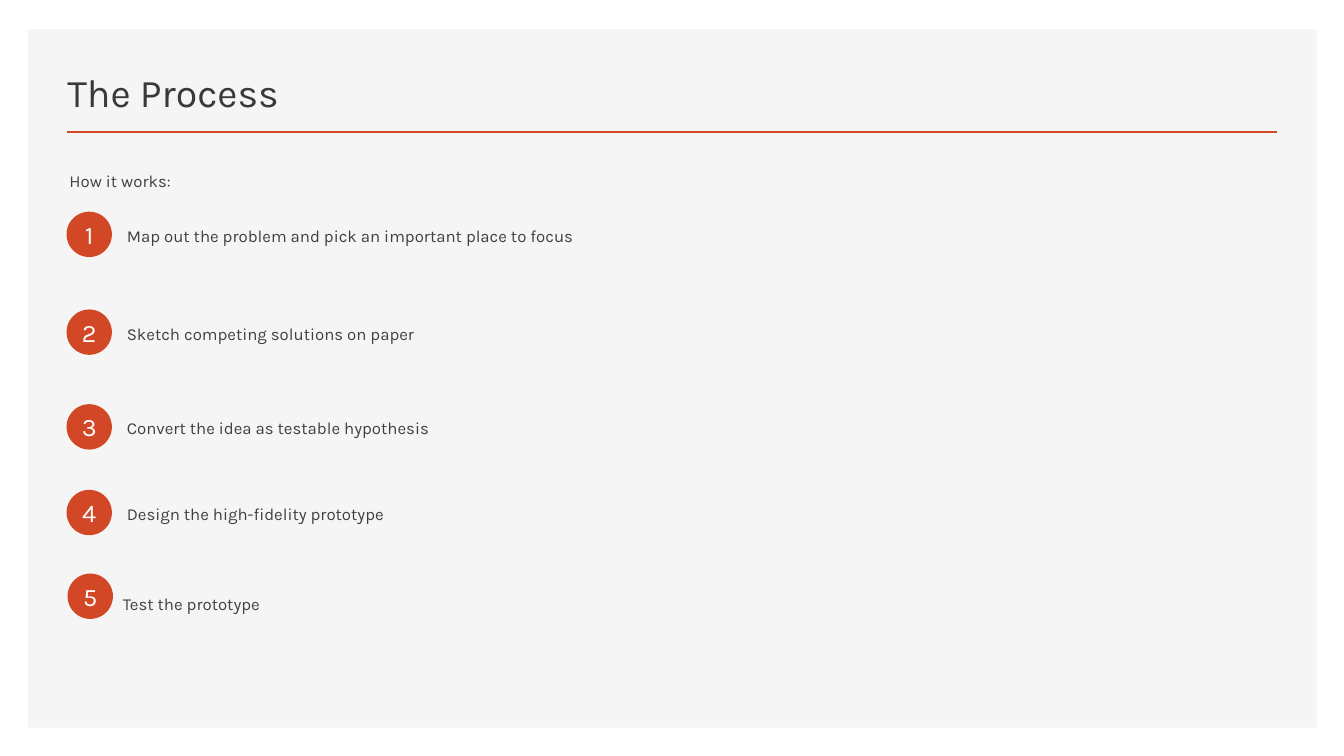
from lxml.etree import SubElement
from pptx import Presentation
from pptx.dml.color import RGBColor
from pptx.enum.shapes import MSO_CONNECTOR, MSO_SHAPE
from pptx.enum.text import MSO_ANCHOR, PP_ALIGN
from pptx.oxml.ns import qn
from pptx.util import Inches, Pt

COLORS = {
    "panel": "F5F5F5",
    "accent": "D24726",
    "title": "3B3838",
    "body": "404040",
    "white": "FFFFFF",
}


class ProcessSlide:
    font = "Karla"

    def __init__(self, prs):
        self.s = prs.slides.add_slide(prs.slide_layouts[6])

    def color(self, name):
        return RGBColor.from_string(COLORS[name])

    def set_text(self, tf, text, size, color):
        p = tf.paragraphs[0]
        p.text = text
        p.font.name = self.font
        p.font.size = Pt(size)
        p.font.color.rgb = self.color(color)
        return p

    def shape(self, kind, x, y, w, h, fill):
        sp = self.s.shapes.add_shape(kind, Inches(x), Inches(y), Inches(w), Inches(h))
        sp.shadow.inherit = False
        sp.fill.solid()
        sp.fill.fore_color.rgb = self.color(fill)
        sp.line.fill.background()
        return sp

    def rule(self, x1, x2, y):
        line = self.s.shapes.add_connector(
            MSO_CONNECTOR.STRAIGHT, Inches(x1), Inches(y), Inches(x2), Inches(y))
        line.line.color.rgb = self.color("accent")
        line.line.width = Pt(2)
        SubElement(line._element.spPr, qn("a:effectLst"))

    def text(self, x, y, w, h, text, size=12, color="body", anchor=MSO_ANCHOR.TOP):
        sp = self.s.shapes.add_textbox(Inches(x), Inches(y), Inches(w), Inches(h))
        tf = sp.text_frame
        tf.word_wrap = True
        tf.vertical_anchor = anchor
        return self.set_text(tf, text, size, color)

    def body(self, x, y, w, h, text):
        self.text(x, y, w, h, text).line_spacing = Pt(18)

    def badge(self, x, y, number):
        sp = self.shape(MSO_SHAPE.OVAL, x, y, 0.45, 0.45, "accent")
        tf = sp.text_frame
        tf.margin_left = tf.margin_right = tf.margin_top = tf.margin_bottom = 0
        tf.vertical_anchor = MSO_ANCHOR.MIDDLE
        p = self.set_text(tf, str(number), 18, "white")
        p.alignment = PP_ALIGN.CENTER


# Badge left and top, text left, top, width and height, wording
STEPS = [
    (0.66, 2.1, 1.16, 2.14, 5.02, 0.65,
     "Map out the problem and pick an important place to focus"),
    (0.66, 3.07, 1.16, 3.11, 4.93, 1.17, "Sketch competing solutions on paper"),
    (0.66, 4.01, 1.16, 4.05, 4.93, 0.83, "Convert the idea as testable hypothesis"),
    (0.66, 4.86, 1.16, 4.9, 4.93, 0.62, "Design the high-fidelity prototype"),
    (0.67, 5.69, 1.12, 5.79, 4.93, 0.62, "Test the prototype"),
]


def main():
    prs = Presentation()
    prs.slide_width, prs.slide_height = Inches(13.33), Inches(7.5)
    slide = ProcessSlide(prs)

    # Panel, title and rule
    slide.shape(MSO_SHAPE.RECTANGLE, 0.28, 0.29, 12.78, 6.93, "panel")
    slide.rule(0.66, 12.67, 1.31)
    slide.text(0.57, 0.49, 7.52, 0.7, "The Process", 28, "title", MSO_ANCHOR.BOTTOM)

    # Introduction and numbered steps
    slide.body(0.59, 1.59, 5.59, 0.52, "How it works:")
    for number, (badge_x, badge_y, x, y, w, h, text) in enumerate(STEPS, 1):
        slide.badge(badge_x, badge_y, number)
        slide.body(x, y, w, h, text)

    prs.save("out.pptx")


if __name__ == "__main__":
    main()
